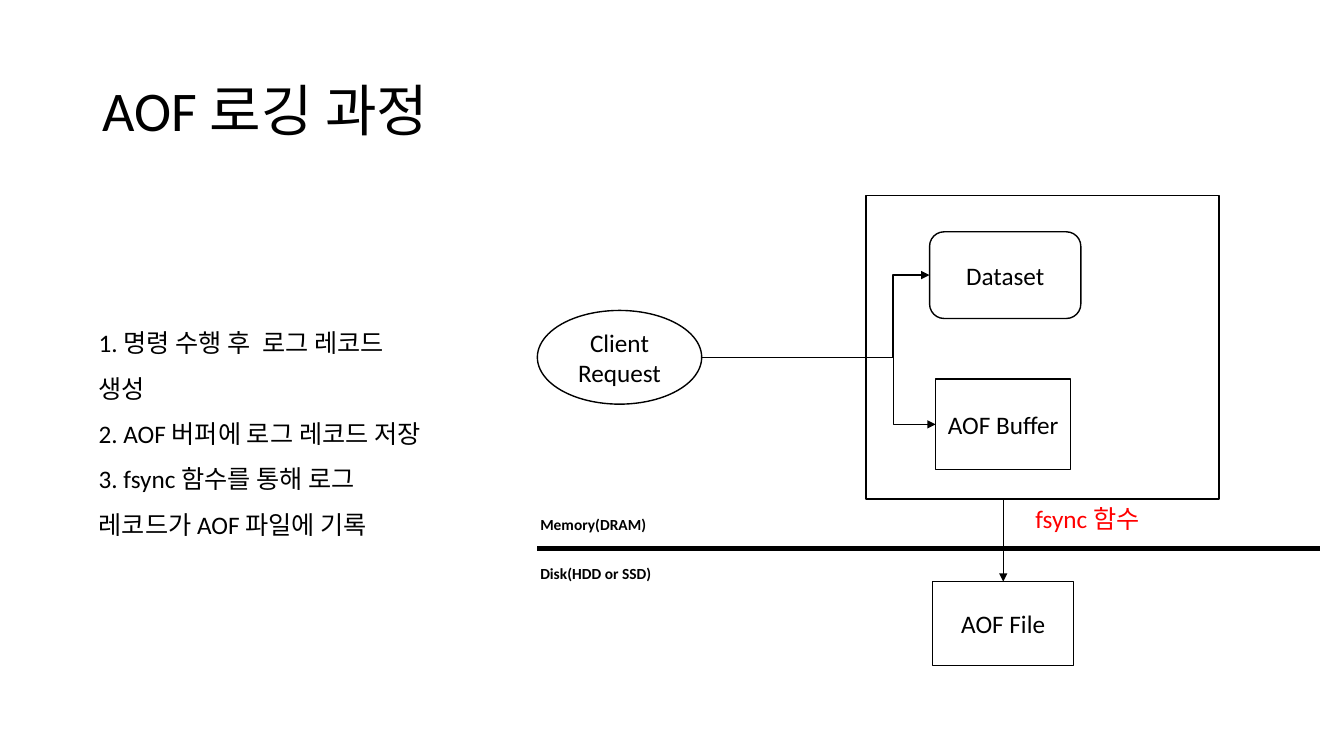
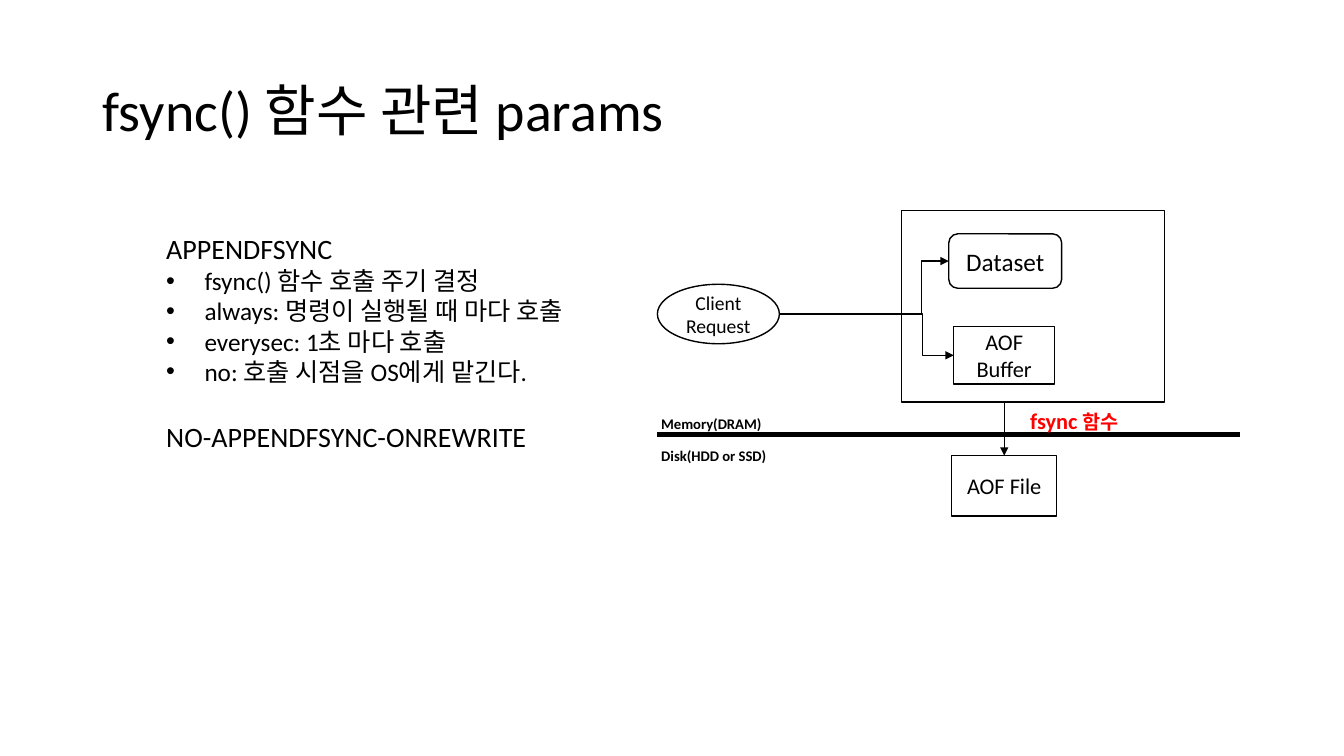
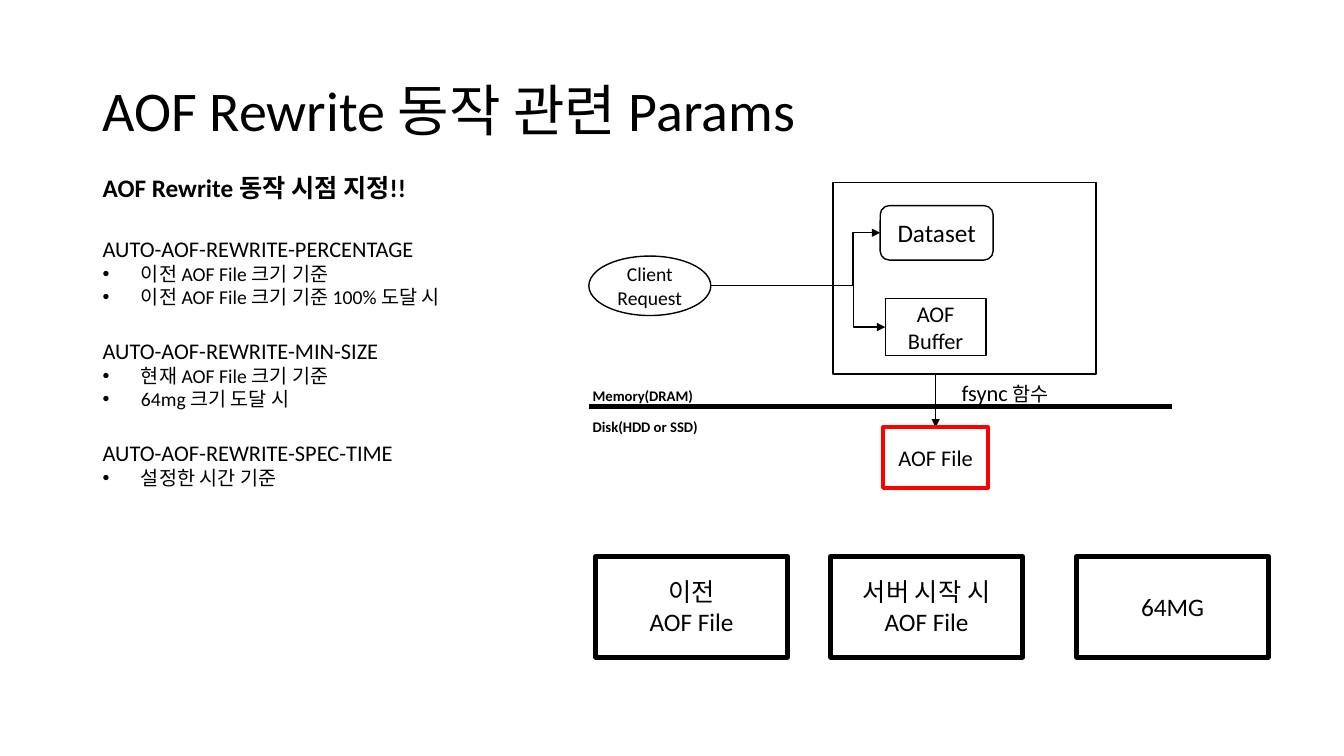
"""Builds three slides on AOF logging, each with notes beside a data flow diagram."""
from dataclasses import dataclass

from lxml.etree import SubElement
from pptx import Presentation
from pptx.dml.color import RGBColor
from pptx.enum.shapes import MSO_CONNECTOR, MSO_SHAPE
from pptx.enum.text import MSO_ANCHOR, MSO_AUTO_SIZE, PP_ALIGN
from pptx.oxml.ns import qn
from pptx.util import Inches, Pt


@dataclass(frozen=True)
class Theme:
    font: str = "Calibri"
    ink: RGBColor = RGBColor(0, 0, 0)
    paper: RGBColor = RGBColor(255, 255, 255)
    accent: RGBColor = RGBColor(255, 0, 0)
    title: float = 40
    heading: float = 20
    body: float = 18
    medium: float = 16
    small: float = 14
    hairline: float = 0.5
    thin: float = 1
    strong: float = 3
    heavy: float = 3.5
    rule: float = 3.75


T = Theme()


def write(sp, paras, color=T.ink, bold=False, align=PP_ALIGN.LEFT, spacing=None, indent=0.38):
    """Fill a shape with paragraphs of (runs, bulleted, space before)."""
    tf = sp.text_frame
    tf.word_wrap = True
    for i, (runs, bulleted, before) in enumerate(paras):
        p = tf.paragraphs[0] if i == 0 else tf.add_paragraph()
        p.alignment = align
        p.space_before = Pt(before)
        if spacing:
            p.line_spacing = spacing
        if bulleted:
            pPr = p._p.get_or_add_pPr()
            pPr.set("marL", str(Inches(indent)))
            pPr.set("indent", str(-Inches(indent)))
            SubElement(pPr, qn("a:buFont")).set("typeface", "Arial")
            SubElement(pPr, qn("a:buChar")).set("char", "•")
        for text, size in runs:
            r = p.add_run()
            r.text = text
            r.font.name, r.font.size, r.font.bold = T.font, Pt(size), bold
            r.font.color.rgb = color
    return tf


def connect(s, start, end, width, arrow=True, bend=None):
    """Draw a straight line, or an elbow turning at the bend fraction."""
    kind = MSO_CONNECTOR.ELBOW if bend else MSO_CONNECTOR.STRAIGHT
    c = s.shapes.add_connector(kind, *(Inches(v) for v in (*start, *end)))
    c.line.color.rgb = T.ink
    c.line.width = Pt(width)
    spPr = c._element.spPr
    if arrow:
        SubElement(spPr.find(qn("a:ln")), qn("a:tailEnd")).set("type", "triangle")
    SubElement(spPr, qn("a:effectLst"))
    if bend:
        geom = spPr.find(qn("a:prstGeom"))
        guides = geom.find(qn("a:avLst"))
        if guides is None:
            guides = SubElement(geom, qn("a:avLst"))
        gd = SubElement(guides, qn("a:gd"))
        gd.set("name", "adj1")
        gd.set("fmla", f"val {round(bend * 100000)}")


LARGE = {
    "frame": (3.26, 0, 3.5, 3.01), "dataset": (3.89, 0.36, 1.5, 0.86),
    "buffer": (3.95, 1.82, 1.34, 0.9), "client": (0, 1.14, 1.63, 0.93),
    "file": (3.92, 3.83, 1.4, 0.83), "memory": (-0.07, 3.12, 2.31, 0.29),
    "disk": (-0.07, 3.61, 2.31, 0.29), "fsync": (4.84, 3, 1.78, 0.4),
    "rule": (3.5, 7.76), "flush": (4.62, 2.72),
    "sizes": {"client": T.body, "box": T.body, "label": 11, "korean": T.body},
}
SMALL = {
    "frame": (2.42, 0, 2.61, 1.9), "dataset": (2.89, 0.23, 1.12, 0.54),
    "buffer": (2.94, 1.15, 1, 0.57), "client": (0, 0.73, 1.21, 0.59),
    "file": (2.92, 2.43, 1.04, 0.6), "memory": (-0.06, 1.98, 1.72, 0.22),
    "disk": (-0.06, 2.29, 1.72, 0.22), "fsync": (3.6, 1.9, 1.33, 0.37),
    "rule": (2.22, 5.78), "flush": (3.44, 1.73),
    "sizes": {"client": T.small, "box": T.medium, "label": 10.5, "korean": T.small},
}

slides = [
    {
        "title": "AOF 로깅 과정",
        "notes": [((0.88, 3.05, 3.42, 3.23), {"spacing": 1.5}, [
            ("1. 명령 수행 후  로그 레코드 생성", T.body, False, 0),
            ("2. AOF 버퍼에 로그 레코드 저장", T.body, False, 0),
            ("3. fsync 함수를 통해 로그 레코드가 AOF 파일에 기록", T.body, False, 0),
        ])],
        "layout": LARGE, "origin": (5.33, 1.94), "cards": [],
        "fsync": {"color": T.accent}, "file_line": (T.ink, T.thin),
    },
    {
        "title": "fsync() 함수 관련 params",
        "notes": [((1.55, 2.25, 4.45, 3), {}, [
            ("APPENDFSYNC", T.heading, False, 0),
            ("fsync() 함수 호출 주기 결정", T.body, True, 0),
            ("always: 명령이 실행될 때 마다 호출", T.body, True, 0),
            ("everysec: 1초 마다 호출", T.body, True, 0),
            ("no: 호출 시점을 OS에게 맡긴다.", T.body, True, 0),
            ("NO-APPENDFSYNC-ONREWRITE", T.heading, False, 24),
        ])],
        "layout": SMALL, "origin": (6.52, 2.09), "cards": [],
        "fsync": {"color": T.accent, "bold": True}, "file_line": (T.ink, T.thin),
    },
    {
        "title": "AOF Rewrite 동작 관련 Params",
        "notes": [
            ((0.92, 2.28, 4.48, 2.96), {}, [
                ("AUTO-AOF-REWRITE-PERCENTAGE", T.medium, False, 0),
                ("이전 AOF File 크기 기준", T.small, True, 0),
                ("이전 AOF File 크기 기준 100% 도달 시", T.small, True, 0),
                ("AUTO-AOF-REWRITE-MIN-SIZE", T.medium, False, 20),
                ("현재 AOF File 크기 기준", T.small, True, 0),
                ("64mg 크기 도달 시", T.small, True, 0),
                ("AUTO-AOF-REWRITE-SPEC-TIME", T.medium, False, 20),
                ("설정한 시간 기준", T.small, True, 0),
            ]),
            ((0.92, 1.66, 5.06, 0.4), {"bold": True}, [
                ("AOF Rewrite 동작 시점 지정!!", T.body, False, 0),
            ]),
        ],
        "layout": SMALL, "origin": (5.84, 1.81),
        "cards": [(5.91, ["이전", "AOF File"]), (8.24, ["서버 시작 시 AOF File"]), (10.68, ["64MG"])],
        "fsync": {}, "file_line": (T.accent, T.strong),
    },
]

prs = Presentation()
prs.slide_width, prs.slide_height = Inches(13.33), Inches(7.5)

for page in slides:
    s = prs.slides.add_slide(prs.slide_layouts[6])
    layout, sizes = page["layout"], page["layout"]["sizes"]
    left, top = page["origin"]
    at = {name: (left + v[0], top + v[1], v[2], v[3]) for name, v in layout.items() if len(v) == 4 and name != "sizes"}

    title = s.shapes.add_textbox(Inches(0.92), Inches(0.4), Inches(11.5), Inches(1.45))
    tf = write(title, [([(page["title"], T.title)], False, 0)], spacing=0.9)
    tf.vertical_anchor = MSO_ANCHOR.MIDDLE

    flush_x, flush_y = layout["flush"]
    connect(s, (left + flush_x, top + flush_y), (left + flush_x, at["file"][1]), T.hairline)

    plain = (T.ink, T.thin)
    boxes = [
        (MSO_SHAPE.FLOWCHART_PROCESS, at["frame"], [], T.body, plain),
        (MSO_SHAPE.FLOWCHART_ALTERNATE_PROCESS, at["dataset"], ["Dataset"], T.body, plain),
        (MSO_SHAPE.FLOWCHART_PROCESS, at["buffer"], ["AOF Buffer"], sizes["box"], plain),
        (MSO_SHAPE.FLOWCHART_CONNECTOR, at["client"], ["Client Request"], sizes["client"], plain),
        (MSO_SHAPE.FLOWCHART_PROCESS, at["file"], ["AOF File"], sizes["box"], page["file_line"]),
    ]
    for x, lines in page["cards"]:
        boxes.append((MSO_SHAPE.FLOWCHART_PROCESS, (x, 5.52, 1.9, 1), lines, T.body, (T.ink, T.heavy)))
    for kind, box, lines, size, (color, width) in boxes:
        sp = s.shapes.add_shape(kind, *(Inches(v) for v in box))
        sp.shadow.inherit = False
        sp.fill.solid()
        sp.fill.fore_color.rgb = T.paper
        sp.line.color.rgb = color
        sp.line.width = Pt(width)
        tf = write(sp, [([(line, size)], False, 0) for line in lines], align=PP_ALIGN.CENTER)
        tf.vertical_anchor = MSO_ANCHOR.MIDDLE

    rule_y, rule_width = layout["rule"]
    connect(s, (left, top + rule_y), (left + rule_width, top + rule_y), T.rule, arrow=False)

    x, y, w, h = at["client"]
    for target, bend in (("buffer", 0.82), ("dataset", 0.84)):
        tx, ty, _, th = at[target]
        connect(s, (x + w, y + h / 2), (tx, ty + th / 2), T.thin, bend=bend)

    texts = [
        (at["memory"], {"bold": True}, [([("Memory(DRAM)", sizes["label"])], False, 0)]),
        (at["disk"], {"bold": True}, [([("Disk(HDD or SSD)", sizes["label"])], False, 0)]),
        (at["fsync"], page["fsync"], [([("fsync ", sizes["box"]), ("함수", sizes["korean"])], False, 0)]),
    ]
    for box, style, notes in page["notes"]:
        texts.append((box, style, [([(text, size)], bulleted, gap) for text, size, bulleted, gap in notes]))
    for box, style, paras in texts:
        sp = s.shapes.add_textbox(*(Inches(v) for v in box))
        tf = write(sp, paras, **style)
        tf.auto_size = MSO_AUTO_SIZE.SHAPE_TO_FIT_TEXT

prs.save("out.pptx")
